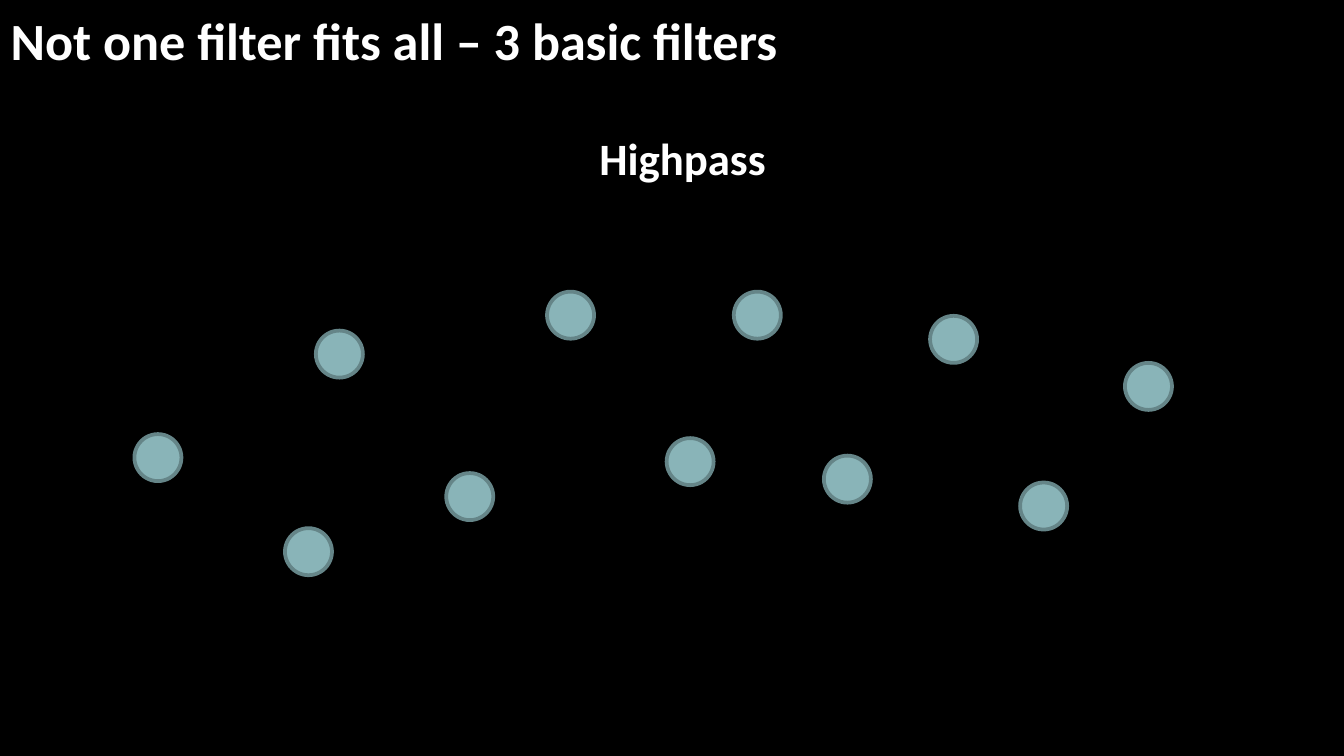
from dataclasses import dataclass
from typing import NamedTuple

import pptx
import pptx.dml.color
import pptx.enum.shapes
import pptx.enum.text
import pptx.util

SLIDE_WIDTH = pptx.util.Inches(10)
SLIDE_HEIGHT = pptx.util.Emu(SLIDE_WIDTH * 9 // 16)
COLUMNS = 100  # square grid cells across the slide


@dataclass(frozen=True)
class Theme:
    font: str = "Calibri"
    background: str = "000000"
    text: str = "FFFFFF"
    sample_fill: str = "89B4B8"
    sample_line: str = "658588"
    title_size: int = 28
    label_size: int = 24
    line_width: int = 2


class Area(NamedTuple):
    column: float
    row: float
    columns: float
    rows: float


class Sample(NamedTuple):
    column: float
    row: float


THEME = Theme()
SAMPLE_SIZE = 3.5
TITLE_AREA = Area(0.8, 0.6, 96.9, 3.5)
LABEL_AREA = Area(42.1, 9.7, 22.4, 3)
LABEL_INDENT = 2.5
SAMPLES = (
    Sample(10, 32.3),
    Sample(21.2, 39.3),
    Sample(23.5, 24.6),
    Sample(33.2, 35.2),
    Sample(40.7, 21.7),
    Sample(49.6, 32.6),
    Sample(54.6, 21.7),
    Sample(61.3, 33.9),
    Sample(69.2, 23.5),
    Sample(75.9, 35.9),
    Sample(83.7, 27),
)


def grid(cells: float) -> pptx.util.Emu:
    """Turn a number of grid cells into a length."""
    return pptx.util.Emu(round(cells * SLIDE_WIDTH / COLUMNS))


def color(value: str) -> pptx.dml.color.RGBColor:
    return pptx.dml.color.RGBColor.from_string(value)


def write_heading(box, area: Area, text: str, size: int, indent: float = 0) -> None:
    box.left, box.top, box.width, box.height = map(grid, area)
    frame = box.text_frame
    frame.auto_size = pptx.enum.text.MSO_AUTO_SIZE.NONE
    frame.word_wrap = True
    frame.vertical_anchor = pptx.enum.text.MSO_ANCHOR.TOP
    frame.margin_left = grid(indent)
    frame.margin_right = frame.margin_top = frame.margin_bottom = 0
    para = frame.paragraphs[0]
    para.alignment = pptx.enum.text.PP_ALIGN.LEFT
    span = para.add_run()
    span.text = text
    span.font.name = THEME.font
    span.font.size = pptx.util.Pt(size)
    span.font.bold = True
    span.font.color.rgb = color(THEME.text)


def draw_sample(page, sample: Sample) -> None:
    size = grid(SAMPLE_SIZE)
    dot = page.shapes.add_shape(
        pptx.enum.shapes.MSO_SHAPE.OVAL, grid(sample.column), grid(sample.row), size, size
    )
    dot.shadow.inherit = False
    dot.fill.solid()
    dot.fill.fore_color.rgb = color(THEME.sample_fill)
    dot.line.color.rgb = color(THEME.sample_line)
    dot.line.width = pptx.util.Pt(THEME.line_width)


def main() -> None:
    deck = pptx.Presentation()
    deck.slide_width, deck.slide_height = SLIDE_WIDTH, SLIDE_HEIGHT
    title_only = deck.slide_layouts.get_by_name("Title Only")
    page = deck.slides.add_slide(title_only)
    page.background.fill.solid()
    page.background.fill.fore_color.rgb = color(THEME.background)

    write_heading(
        page.shapes.title, TITLE_AREA, "Not one filter fits all – 3 basic filters", THEME.title_size
    )
    label = page.shapes.add_textbox(0, 0, 0, 0)
    write_heading(label, LABEL_AREA, "Highpass", THEME.label_size, LABEL_INDENT)
    for sample in SAMPLES:
        draw_sample(page, sample)
    deck.save("out.pptx")


if __name__ == "__main__":
    main()
